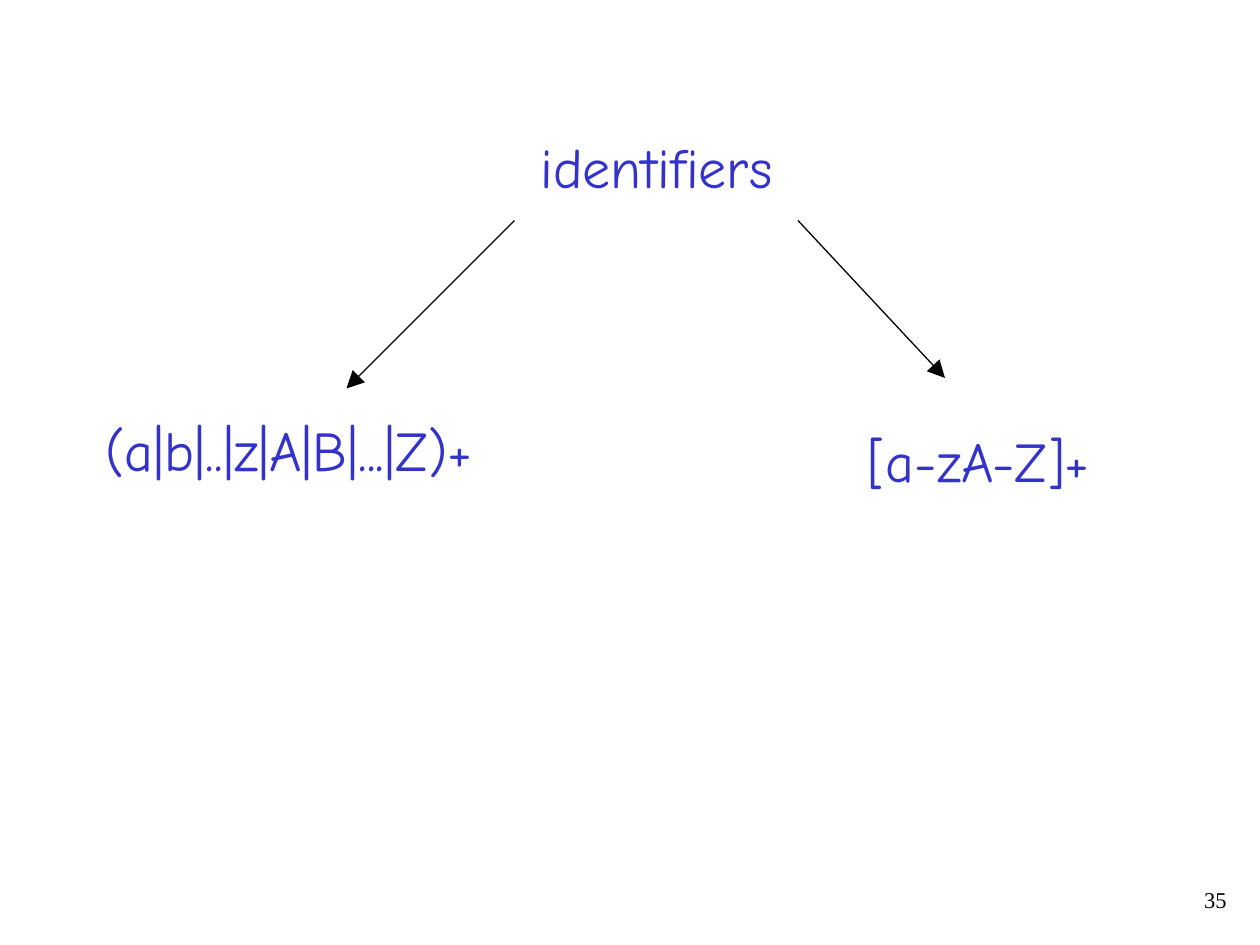
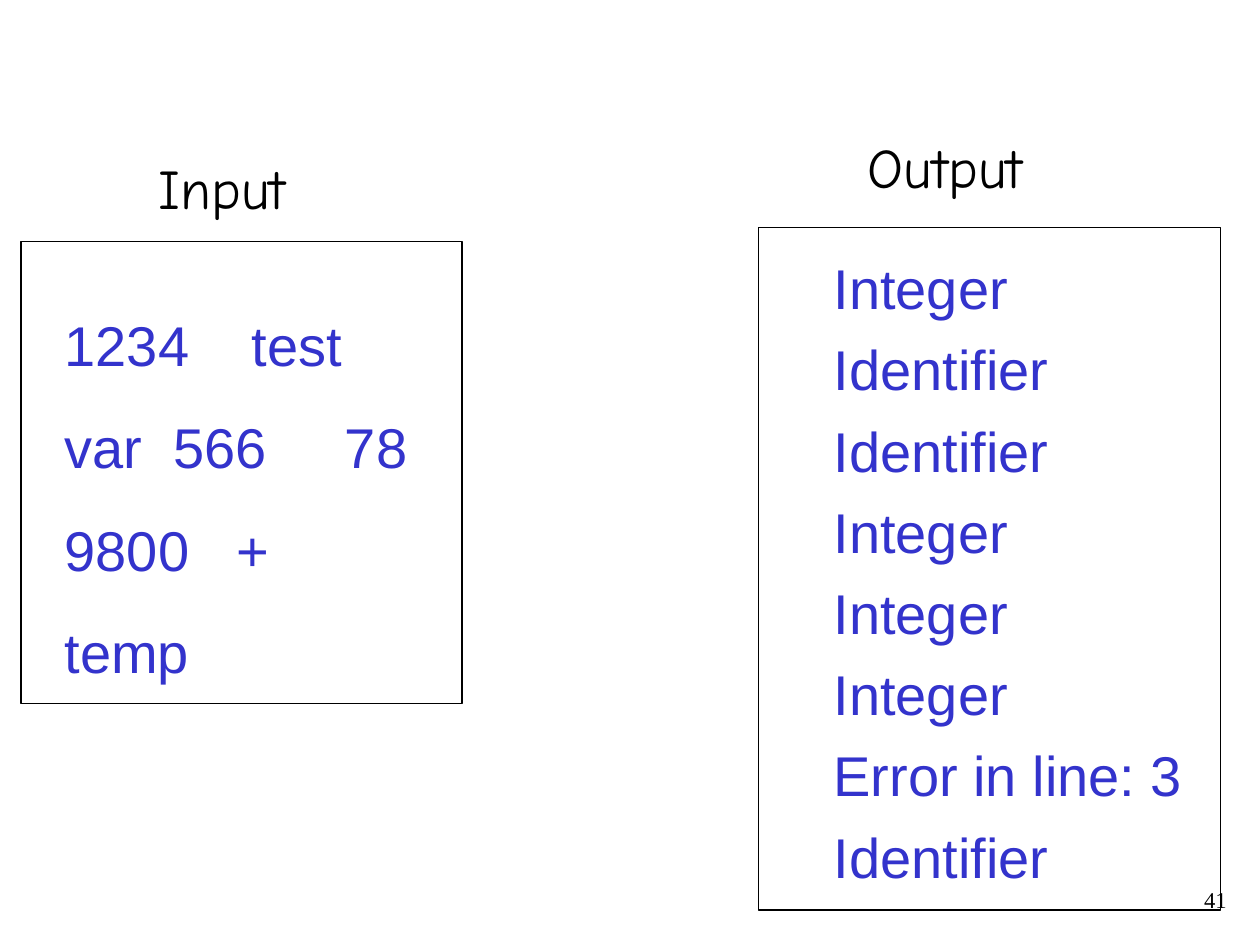
"""Build two slides on identifier patterns and scanner input and output."""
from lxml import etree
from pptx import Presentation
from pptx.dml.color import RGBColor
from pptx.enum.shapes import MSO_CONNECTOR, MSO_SHAPE
from pptx.enum.text import PP_ALIGN
from pptx.oxml.ns import qn
from pptx.util import Pt

BLUE = RGBColor(0x33, 0x33, 0xCC)
BLACK = RGBColor(0, 0, 0)
HAND, SANS, SERIF = "Comic Neue", "Arial", "Times New Roman"
STRAIGHT = MSO_CONNECTOR.STRAIGHT
RECTANGLE = MSO_SHAPE.RECTANGLE
RIGHT = PP_ALIGN.RIGHT
LINE_HEIGHT = Pt(38.4)


def add_text(slide, lines, left, top, width, height=46, font=HAND,
             size=32, color=BLUE, gap=0, spacing=None):
    box = slide.shapes.add_textbox(Pt(left), Pt(top), Pt(width), Pt(height))
    frame = box.text_frame
    frame.text = "\n".join(lines)
    frame.word_wrap = True
    for index, paragraph in enumerate(frame.paragraphs):
        if index:
            paragraph.space_before = Pt(gap)
        if spacing:
            paragraph.line_spacing = spacing
        for run in paragraph.runs:
            run.font.name = font
            run.font.size = Pt(size)
            run.font.color.rgb = color
    return frame.paragraphs


def add_numbered_slide(number):
    slide = deck.slides.add_slide(deck.slide_layouts[6])
    page = add_text(slide, [number], 558, 504.3, 150, 24, SERIF, 12.9,
                    BLACK, spacing=0.9)
    page[0].alignment = RIGHT
    return slide


deck = Presentation()
deck.slide_width, deck.slide_height = Pt(720), Pt(540)

patterns = add_numbered_slide("35")
for wording, left, top, width in [
    ("(a|b|..|z|A|B|...|Z)+", 53.28, 234, 227),
    ("[a-zA-Z]+", 488.88, 240.2, 145),
    ("identifiers", 301.68, 72, 150),
]:
    add_text(patterns, [wording], left, top, width)

for start_x, end_x, end_y in [(294, 198, 222), (456, 540, 216)]:
    arrow = patterns.shapes.add_connector(
        STRAIGHT, Pt(start_x), Pt(126), Pt(end_x), Pt(end_y))
    arrow.line.color.rgb = BLACK
    arrow.line.width = Pt(0.75)
    etree.SubElement(arrow.line._get_or_add_ln(), qn("a:tailEnd"),
                     type="triangle", w="lg", len="lg")
    etree.SubElement(arrow._element.spPr, qn("a:effectLst"))

scanner = add_numbered_slide("41")
source_lines = add_text(
    scanner, ["1234\ttest", "var\t566\t78", "9800\t+", "temp"],
    29.9, 174, 213, 221, SANS, gap=20, spacing=LINE_HEIGHT)
token_stops = [[106.8], [62.2, 160.1], [97.9]]
for paragraph, stops in zip(source_lines, token_stops):
    tab_list = etree.SubElement(paragraph._p.get_or_add_pPr(), qn("a:tabLst"))
    for stop in stops:
        etree.SubElement(tab_list, qn("a:tab"), pos=str(Pt(stop)), algn="l")

for heading, text_left, text_top, text_width, left, top, width, height in [
    ("Input", 83.52, 84, 90, 12, 138, 252, 264),
    ("Output", 488.88, 72, 106, 433.4, 130, 264, 390),
]:
    frame = scanner.shapes.add_shape(
        RECTANGLE, Pt(left), Pt(top), Pt(width), Pt(height))
    frame.shadow.inherit = False
    frame.fill.background()
    frame.line.color.rgb = BLACK
    frame.line.width = Pt(0.75)
    add_text(scanner, [heading], text_left, text_top, text_width, color=BLACK)

add_text(
    scanner,
    ["Integer", "Identifier", "Identifier", "Integer", "Integer", "Integer",
     "Error in line: 3", "Identifier"],
    469.3, 141.4, 216, 371, SANS, gap=8, spacing=LINE_HEIGHT)

deck.save("out.pptx")
